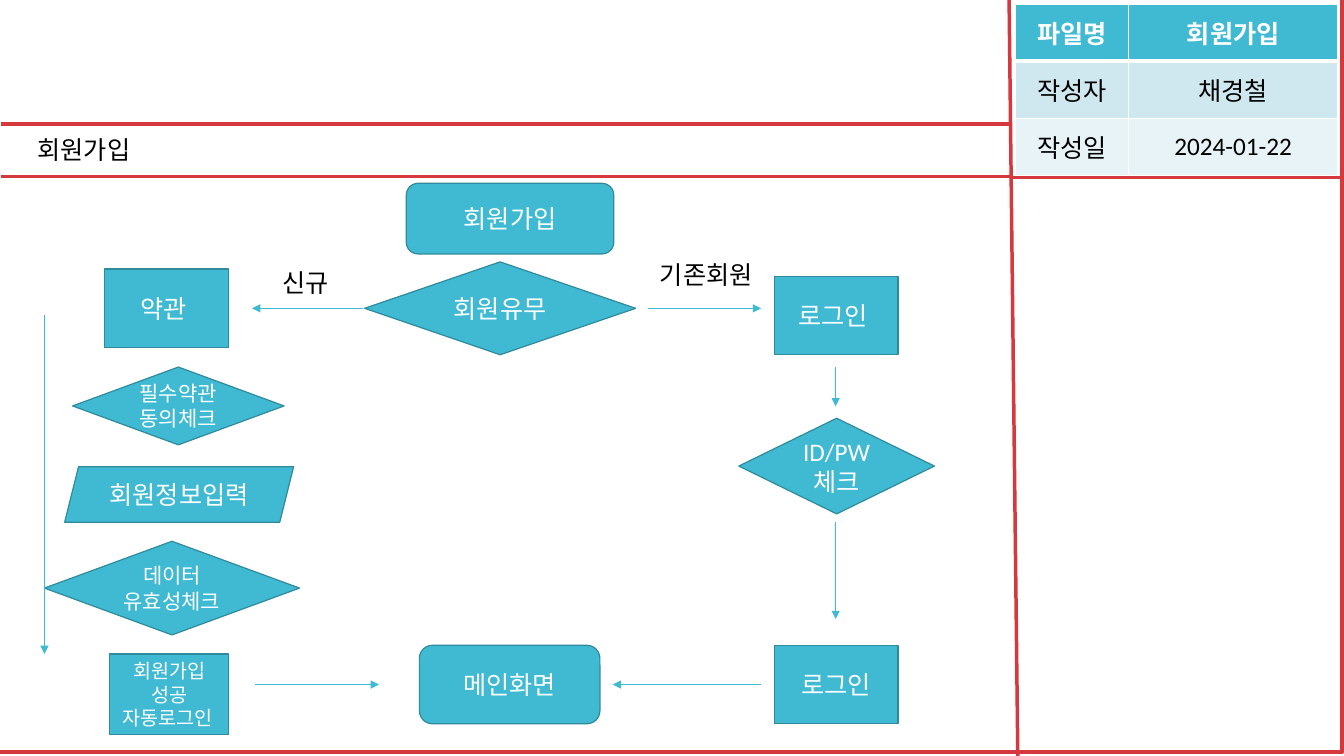
from lxml.etree import SubElement
from pptx import Presentation
from pptx.dml.color import RGBColor
from pptx.enum.shapes import MSO_CONNECTOR, MSO_SHAPE as Preset
from pptx.enum.text import MSO_ANCHOR as Anchor, MSO_AUTO_SIZE as AutoSize, PP_ALIGN as Align
from pptx.oxml.ns import qn
from pptx.util import Cm, Pt

WHITE = RGBColor(0xFF, 0xFF, 0xFF)
BLACK = RGBColor(0x00, 0x00, 0x00)
RED = RGBColor(0xD5, 0x39, 0x3D)
TEAL = RGBColor(0x40, 0xBA, 0xD2)
DARK_TEAL = RGBColor(0x2F, 0x8A, 0x9B)
PALE_BLUE = RGBColor(0xCF, 0xE7, 0xEE)
PALER_BLUE = RGBColor(0xE8, 0xF3, 0xF7)
FONT = "Calibri"

INFO_ROWS = [
    ("파일명", "회원가입", TEAL),
    ("작성자", "채경철", PALE_BLUE),
    ("작성일", "2024-01-22", PALER_BLUE),
]
DIVIDERS = [
    (25.43, 0, 25.65, 19.05),
    (33.87, 4.47, 25.53, 4.47),
    (25.45, 4.45, 0.03, 4.45),
    (25.45, 3.12, 0.03, 3.12),
]
STEPS = [
    (Preset.ROUNDED_RECTANGLE, "회원가입", 18, (10.24, 4.62, 5.23, 1.78)),
    (Preset.DIAMOND, "회원유무", 18, (9.19, 6.6, 6.83, 2.34)),
    (Preset.RECTANGLE, "약관 ", 18, (2.64, 6.78, 3.12, 1.98)),
    (Preset.RECTANGLE, "회원가입 성공 자동로그인 ", 14, (2.77, 16.48, 3, 2.03)),
    (Preset.RECTANGLE, "로그인", 18, (19.51, 16.26, 3.12, 1.98)),
    (Preset.RECTANGLE, "로그인 ", 18, (19.51, 6.96, 3.12, 1.98)),
    (Preset.DIAMOND, "필수약관동의체크", 15, (1.83, 9.25, 5.33, 1.96)),
    (Preset.DIAMOND, "ID/PW 체크", 18, (18.62, 10.54, 4.93, 2.41)),
    (Preset.DIAMOND, "데이터 유효성체크", 15, (1.12, 13.64, 6.43, 2.36)),
    (Preset.ROUNDED_RECTANGLE, "메인화면", 18, (10.57, 16.26, 4.55, 1.98)),
    (Preset.PARALLELOGRAM, "회원정보입력", 18, (1.63, 11.76, 5.77, 1.4)),
]
ARROWS = [
    (9.14, 7.77, 6.35, 7.77),
    (16.33, 7.77, 19.18, 7.77),
    (21.06, 9.25, 21.06, 10.24),
    (21.06, 13.16, 21.06, 15.6),
    (19.18, 17.25, 15.44, 17.25),
    (6.43, 17.25, 9.55, 17.25),
    (1.12, 7.95, 1.12, 16.48),
]
BRANCH_LABELS = [
    ("신규", (6.86, 6.6, 2.06, 1.02)),
    ("기존회원", (16.38, 6.4, 3.12, 1.02)),
]


def lengths(values):
    return [Cm(value) for value in values]


def write(text_frame, text, size, color, align, bold=False):
    paragraph = text_frame.paragraphs[0]
    paragraph.alignment = align
    run = paragraph.add_run()
    run.text = text
    run.font.name = FONT
    run.font.size = Pt(size)
    run.font.bold = bold
    run.font.color.rgb = color


def add_box(slide, preset, box, fill, line, width):
    shape = slide.shapes.add_shape(preset, *lengths(box))
    shape.shadow.inherit = False
    shape.fill.solid()
    shape.fill.fore_color.rgb = fill
    shape.line.color.rgb = line
    shape.line.width = Pt(width)
    return shape


def add_step(slide, preset, text, size, box):
    shape = add_box(slide, preset, box, TEAL, DARK_TEAL, 0.85)
    shape.text_frame.word_wrap = True
    shape.text_frame.vertical_anchor = Anchor.MIDDLE
    write(shape.text_frame, text, size, WHITE, Align.CENTER)


def add_line(slide, ends, color, width, arrow=False):
    connector = slide.shapes.add_connector(MSO_CONNECTOR.STRAIGHT, *lengths(ends))
    connector.line.color.rgb = color
    connector.line.width = Pt(width)
    if arrow:
        SubElement(connector.line._get_or_add_ln(), qn("a:tailEnd"), type="triangle")
    SubElement(connector.element.spPr, qn("a:effectLst"))


def format_label(shape, text):
    text_frame = shape.text_frame
    text_frame.word_wrap = True
    text_frame.vertical_anchor = Anchor.TOP
    text_frame.auto_size = AutoSize.SHAPE_TO_FIT_TEXT
    write(text_frame, text, 18, BLACK, Align.LEFT)


def add_label(slide, text, box):
    format_label(slide.shapes.add_textbox(*lengths(box)), text)


def place_title(slide, text, box):
    title = slide.shapes.title
    title.left, title.top, title.width, title.height = lengths(box)
    format_label(title, text)
    title.element.getparent().append(title.element)


def set_border(cell, side, width):
    properties = cell._tc.get_or_add_tcPr()
    border = SubElement(properties, qn(f"a:{side}"), w=str(Pt(width)))
    fill = SubElement(border, qn("a:solidFill"))
    SubElement(fill, qn("a:srgbClr"), val=str(WHITE))


def add_info_table(slide):
    box = lengths((25.6, 0.1, 8.12, 4.32))
    table = slide.shapes.add_table(len(INFO_ROWS), 2, *box).table
    table.columns[0].width = Cm(2.84)
    table.columns[1].width = Cm(5.28)
    for row, (name, value, fill) in enumerate(INFO_ROWS):
        header = row == 0
        table.rows[row].height = Cm(1.44)
        for column, text in enumerate((name, value)):
            cell = table.cell(row, column)
            cell.vertical_anchor = Anchor.MIDDLE
            set_border(cell, "lnL", 1)
            set_border(cell, "lnR", 1)
            set_border(cell, "lnT", 3 if row == 1 else 1)
            set_border(cell, "lnB", 3 if header else 1)
            cell.fill.solid()
            cell.fill.fore_color.rgb = fill
            color = WHITE if header else BLACK
            write(cell.text_frame, text, 18, color, Align.CENTER, header)


def main():
    presentation = Presentation()
    presentation.slide_width = Cm(33.87)
    presentation.slide_height = Cm(19.05)
    slide = presentation.slides.add_slide(presentation.slide_layouts[5])

    add_box(slide, Preset.RECTANGLE, (-0.05, -0.1, 33.87, 19.05), WHITE, RED, 3)
    add_info_table(slide)
    for ends in DIVIDERS:
        add_line(slide, ends, RED, 2.5)
    place_title(slide, "회원가입", (0.69, 3.25, 4.6, 1.02))
    for step in STEPS:
        add_step(slide, *step)
    for ends in ARROWS:
        add_line(slide, ends, TEAL, 0.75, arrow=True)
    for label in BRANCH_LABELS:
        add_label(slide, *label)

    presentation.save("out.pptx")


if __name__ == "__main__":
    main()
